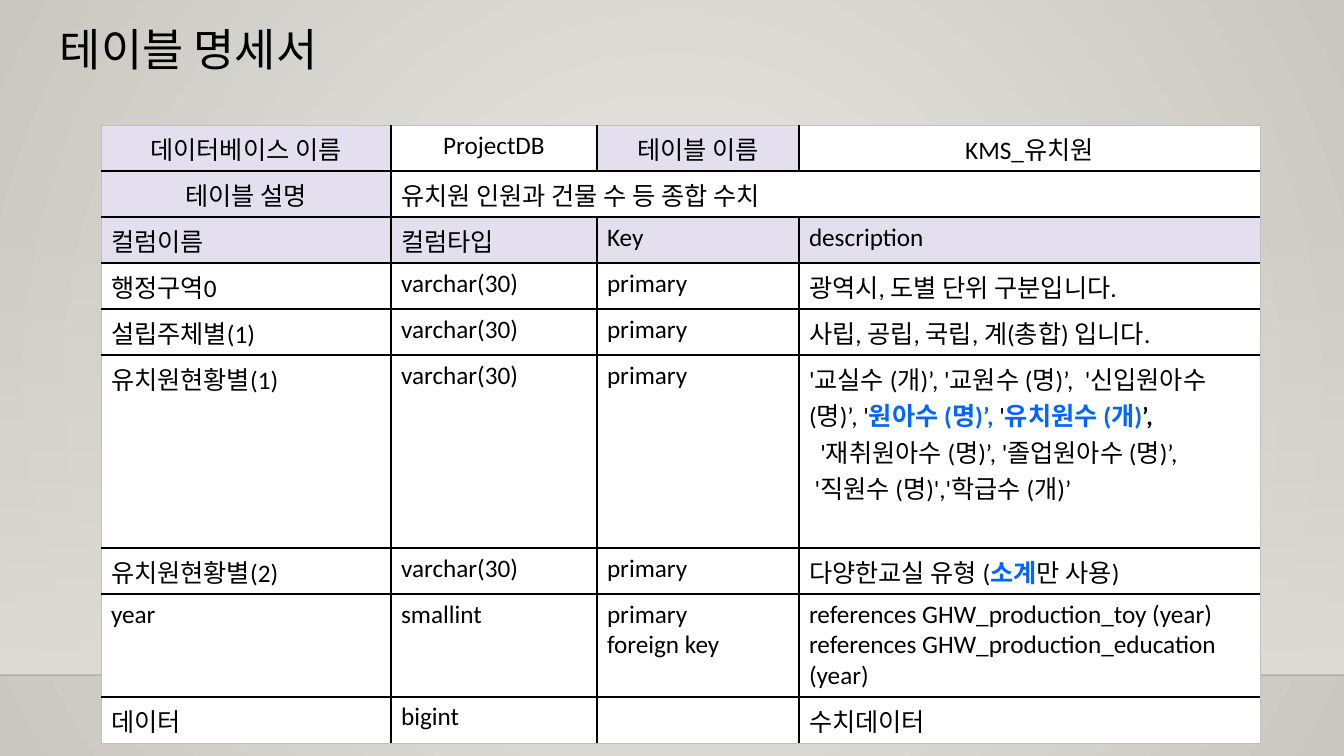
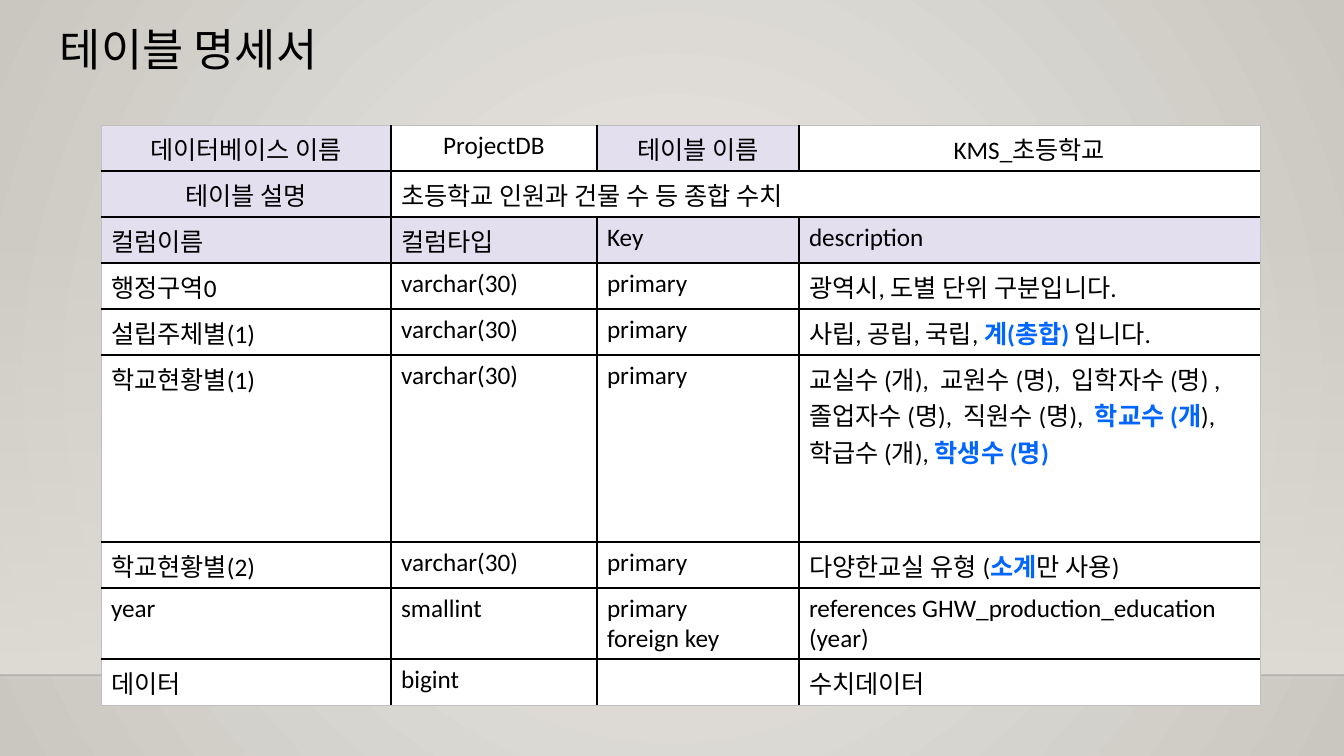
from lxml import etree
from pptx import Presentation
from pptx.dml.color import RGBColor
from pptx.enum.shapes import MSO_CONNECTOR, MSO_SHAPE
from pptx.enum.text import PP_ALIGN
from pptx.oxml import parse_xml
from pptx.oxml.ns import qn
from pptx.util import Emu, Pt

CENTER = PP_ALIGN.CENTER
LEFT = PP_ALIGN.LEFT
RECT = MSO_SHAPE.RECTANGLE
STRAIGHT = MSO_CONNECTOR.STRAIGHT

BLACK = RGBColor(0x00, 0x00, 0x00)
WHITE = RGBColor(0xFF, 0xFF, 0xFF)
BLUE = RGBColor(0x00, 0x66, 0xFF)
LILAC = RGBColor(0xE4, 0xDF, 0xEF)
EDGE = RGBColor(0xC0, 0xC0, 0xC0)
GLOW = RGBColor(0xEC, 0xEA, 0xE7)
SHADE = RGBColor(0xCA, 0xC7, 0xC1)
WALL = RGBColor(0xDF, 0xDB, 0xD5)
RULE = RGBColor(0x00, 0x00, 0x01)

FONT = "Calibri"
WIDE, HIGH = 1344, 756
TITLE = (50, 23, 351, 73)
GRID = (101, 125)
COLS = (290, 206, 202, 461)
ROW = 46
BACK = (0, 223, WIDE, 452)
NS = "http://schemas.openxmlformats.org/drawingml/2006/main"


def px(n):
    return Emu(round(n * 12192000 / WIDE))


def style(run, size, color=BLACK, bold=False):
    run.font.name = FONT
    run.font.size = Pt(size)
    run.font.bold = bold
    run.font.color.rgb = color


def fade(node, percent):
    etree.SubElement(node, qn("a:alpha"), val=str(percent * 1000))


def blend(fill, first, last):
    fill.gradient()
    for stop, color, spot in zip(fill.gradient_stops, (first, last), (0, 1)):
        stop.color.rgb = color
        stop.position = spot


def scene(slide, box):
    fill = slide.background.fill
    blend(fill, GLOW, SHADE)
    grad = slide.element.find(".//" + qn("a:gradFill"))
    grad.replace(grad.find(qn("a:lin")), parse_xml(
        f'<a:path xmlns:a="{NS}" path="circle">'
        '<a:fillToRect l="50000" t="50000" r="50000" b="50000"/></a:path>'))

    left, top, width, height = box
    wall = slide.shapes.add_shape(RECT, *map(px, box))
    wall.shadow.inherit = False
    wall.line.fill.background()
    blend(wall.fill, WALL, WALL)
    wall.fill.gradient_angle = 270
    fade(wall.element.find(".//" + qn("a:srgbClr")), 0)

    base = top + height
    floor = slide.shapes.add_connector(
        STRAIGHT, px(left), px(base), px(left + width), px(base))
    floor.line.width = Pt(1)
    floor.line.color.rgb = RULE
    props = floor.element.spPr
    fade(props.find(".//" + qn("a:srgbClr")), 20)
    etree.SubElement(props, qn("a:effectLst"))


def title(slide, box, text):
    frame = slide.shapes.add_textbox(*map(px, box)).text_frame
    frame.word_wrap = True
    para = frame.paragraphs[0]
    para.text = text
    para.line_spacing = 0.9
    style(para.runs[0], 32)


def border(cell, side, color, width):
    line = etree.SubElement(
        cell._tc.get_or_add_tcPr(), qn("a:ln" + side), w=str(Pt(width)))
    fill = etree.SubElement(line, qn("a:solidFill"))
    etree.SubElement(fill, qn("a:srgbClr"), val=str(color))


def frame_cell(cell, row, col, count):
    ends = {
        "L": col == 0,
        "R": col == len(COLS) - 1 or cell.is_merge_origin,
        "T": row == 0,
        "B": row == count - 1,
    }
    for side, outer in ends.items():
        thick = (row, side) in ((1, "B"), (2, "T"))
        width = 0.5 if outer else 1.5 if thick else 1
        border(cell, side, EDGE if outer else BLACK, width)


def write(cell, body, align):
    if isinstance(body, str):
        cell.text = body
    else:
        para = cell.text_frame.paragraphs[0]
        for part in body:
            para.add_run().text = part if isinstance(part, str) else part[0]
    for para in cell.text_frame.paragraphs:
        para.alignment = align
        para.font.size = Pt(18)
        for run in para.runs:
            style(run, 18)
    if not isinstance(body, str):
        for run, part in zip(cell.text_frame.paragraphs[0].runs, body):
            if not isinstance(part, str):
                style(run, 18, part[1], True)


def grid(slide, spot, rows, tall):
    count = len(rows)
    sizes = [tall.get(i, ROW) for i in range(count)]
    box = (*spot, sum(COLS), sum(sizes))
    table = slide.shapes.add_table(count, len(COLS), *map(px, box)).table
    table.first_row = table.horz_banding = False
    for col, width in zip(table.columns, COLS):
        col.width = px(width)
    for row, height in zip(table.rows, sizes):
        row.height = px(height)
    table.cell(1, 1).merge(table.cell(1, 3))
    for r, row in enumerate(rows):
        for c in range(len(COLS)):
            cell = table.cell(r, c)
            frame_cell(cell, r, c, count)
            head = r == 2 or (r, c) in ((0, 0), (0, 2), (1, 0))
            cell.fill.solid()
            cell.fill.fore_color.rgb = LILAC if head else WHITE
            if c < len(row):
                middle = r == 0 or (r, c) == (1, 0)
                write(cell, row[c], CENTER if middle else LEFT)


def key(name, note):
    return name, "varchar(30)", "primary", note


def sheet(deck, name, kind, group, items, links, tall):
    rows = [
        ("데이터베이스 이름", "ProjectDB", "테이블 이름", "KMS_" + name),
        ("테이블 설명", name + " 인원과 건물 수 등 종합 수치"),
        ("컬럼이름", "컬럼타입", "Key", "description"),
        key("행정구역0", "광역시, 도별 단위 구분입니다."),
        key("설립주체별(1)", group),
        key(kind + "현황별(1)", items),
        key(kind + "현황별(2)",
            ["다양한교실 유형 (", ("소계", BLUE), "만 사용)"]),
        ("year", "smallint", "primary\nforeign key", links),
        ("데이터", "bigint", "", "수치데이터"),
    ]
    slide = deck.slides.add_slide(deck.slide_layouts[6])
    scene(slide, BACK)
    title(slide, TITLE, "테이블 명세서")
    grid(slide, GRID, rows, tall)


def main():
    deck = Presentation()
    deck.slide_width, deck.slide_height = px(WIDE), px(HIGH)
    link = "references GHW_production_education (year)"
    sheet(
        deck, "유치원", "유치원", "사립, 공립, 국립, 계(총합) 입니다.",
        ["'교실수 (개)’, '교원수 (명)’,  '신입원아수 (명)’, '",
         ("원아수 (명)’, ", BLUE), "'", ("유치원수 (개)", BLUE),
         ("’,  ", BLACK),
         "'재취원아수 (명)’, '졸업원아수 (명)’, '직원수 (명)','학급수 (개)’"],
        "references GHW_production_toy (year)\n" + link,
        {5: 193, 7: 103})
    sheet(
        deck, "초등학교", "학교",
        ["사립, 공립, 국립, ", ("계(총합) ", BLUE), "입니다."],
        ["교실수 (개),  교원수 (명),  입학자수 (명) , 졸업자수 (명),  직원수 (명),  ",
         ("학교수 (개", BLUE), "),   학급수 (개), ", ("학생수 (명)", BLUE)],
        link, {5: 187, 7: 71})
    deck.save("out.pptx")


if __name__ == "__main__":
    main()
